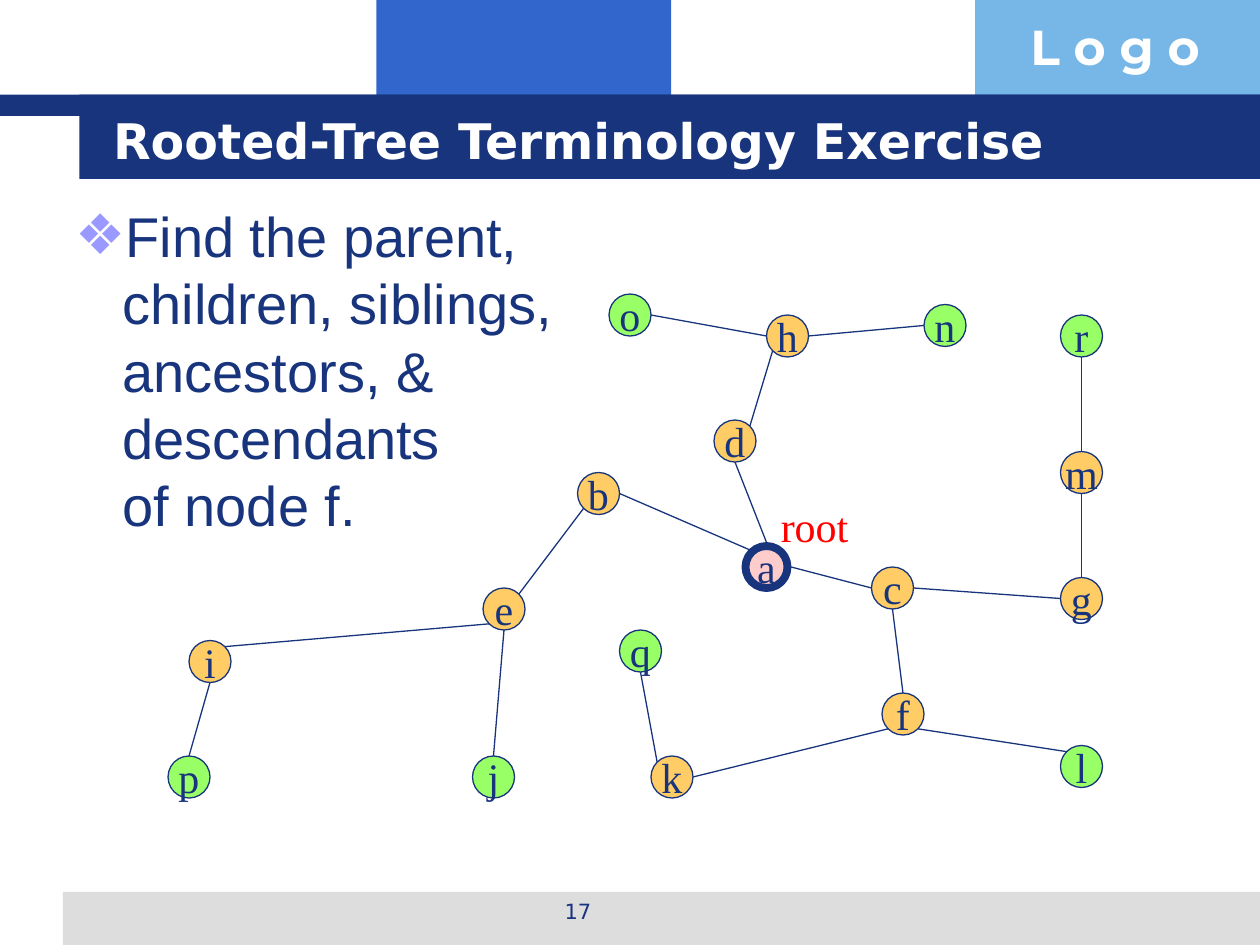
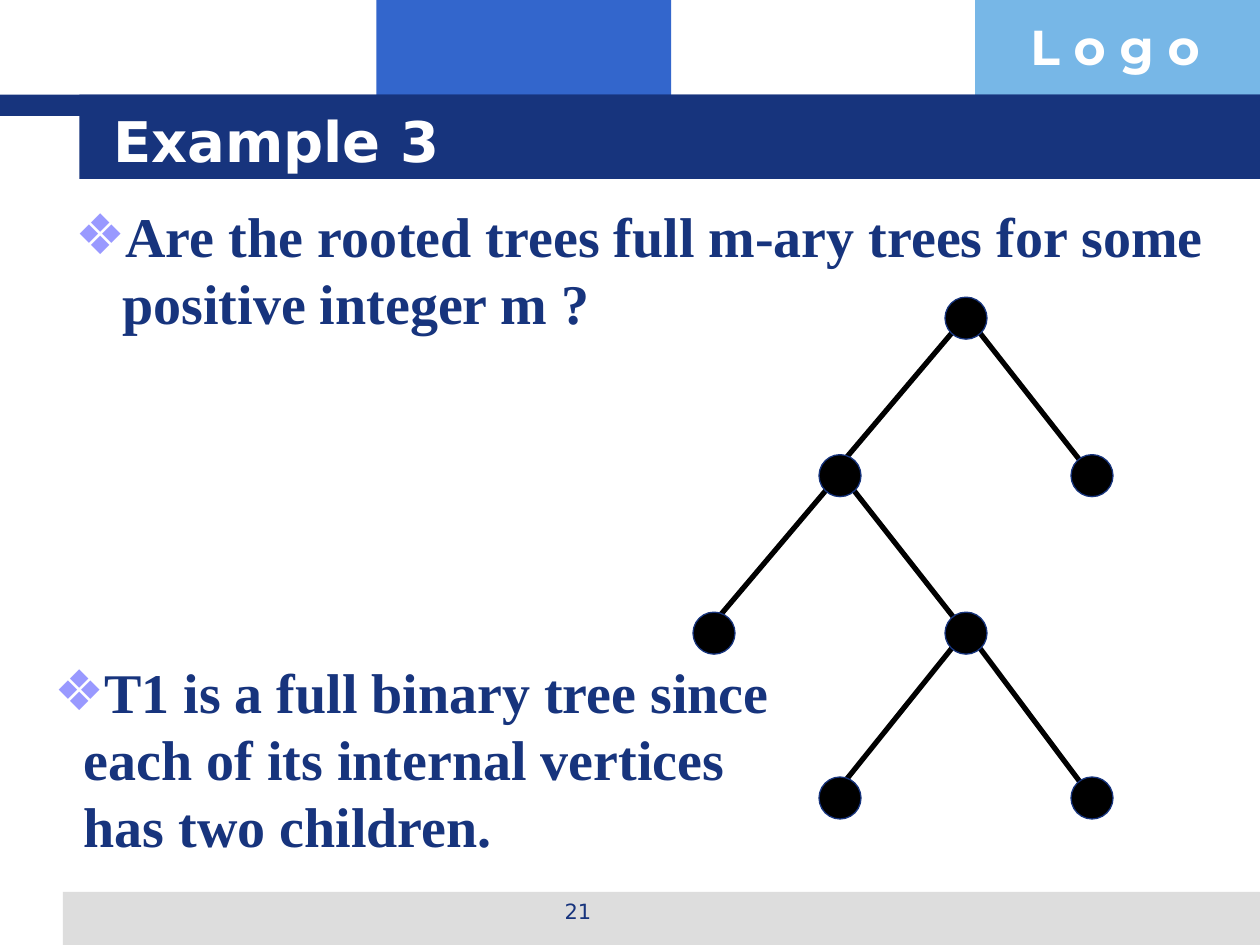
import lxml.etree
import pptx
import pptx.dml.color
import pptx.enum.shapes
import pptx.enum.text
import pptx.oxml.ns
import pptx.util

Cm, Pt = pptx.util.Cm, pptx.util.Pt
RGBColor = pptx.dml.color.RGBColor
Shape = pptx.enum.shapes.MSO_SHAPE
Align, Anchor = pptx.enum.text.PP_ALIGN, pptx.enum.text.MSO_ANCHOR

NAVY = RGBColor(0x17, 0x34, 0x7D)
BLUE = RGBColor(0x33, 0x66, 0xCC)
SKY = RGBColor(0x77, 0xB7, 0xE7)
GREY = RGBColor(0xDD, 0xDD, 0xDD)
LILAC = RGBColor(0x99, 0x99, 0xFF)
ORANGE = RGBColor(0xFF, 0xCC, 0x66)
GREEN = RGBColor(0x99, 0xFF, 0x66)
PINK = RGBColor(0xFF, 0xCC, 0xCC)
RED = RGBColor(0xFF, 0, 0)
WHITE = RGBColor(0xFF, 0xFF, 0xFF)
BLACK = RGBColor(0, 0, 0)
SANS, SERIF, BODY, LOGO = "DejaVu Sans", "Times New Roman", "Arial", "Montserrat"

# Boxes are (left, top, width, height) in centimetres.
BANDS = [
    ((7.59, 0, 5.94, 2.34), BLUE),
    ((19.66, 0, 5.74, 2.34), SKY),
    ((1.27, 17.98, 24.13, 1.07), GREY),
    ((0, 1.91, 25.4, 0.43), NAVY),
    ((1.6, 1.91, 23.8, 1.7), NAVY),
]
LOGO_BOX = (20.52, 0.2, 4.9, 1.45)
NUMBER_BOX = (8.69, 17.98, 5.92, 0.89)
TITLE_BOX = (2.03, 2.03, 21.67, 1.57)

# Both trees lie on a grid of twelfths of an inch.
GRID = 2.54 / 12
RADIUS = 2
ROOT_RADIUS = 2.35  # edges meet the outer rim of the thick outline

# name: (x, y, parent, side of parent, own side)
ROOTED_TREE = {
    "a": (73, 54, None, None, None),
    "b": (57, 47, "a", "top left", "right"),
    "c": (85, 56, "a", "right", "left"),
    "d": (70, 42, "a", "top", "bottom"),
    "e": (48, 58, "b", "bottom left", "top right"),
    "f": (86, 68, "c", "bottom", "top"),
    "g": (103, 57, "c", "right", "left"),
    "h": (75, 32, "d", "top right", "bottom left"),
    "i": (20, 63, "e", "bottom left", "top right"),
    "j": (47, 74, "e", "bottom", "top"),
    "k": (64, 74, "f", "bottom left", "right"),
    "l": (103, 73, "f", "bottom right", "top left"),
    "m": (103, 45, "g", "top", "bottom"),
    "n": (90, 31, "h", "right", "left"),
    "o": (60, 30, "h", "left", "right"),
    "p": (18, 74, "i", "bottom", "top"),
    "q": (61, 62, "k", "top left", "bottom"),
    "r": (103, 32, "m", "top", "bottom"),
}

# Each inner vertex with its left and right child, as (x, y).
BINARY_TREE = [
    ((92, 30.3), (80, 45.3), (104, 45.3)),
    ((80, 45.3), (68, 60.3), (92, 60.3)),
    ((92, 60.3), (80, 76), (104, 76)),
]


def place(box):
    return [Cm(length) for length in box]


def write(holder, text, font=SANS, size=12, color=NAVY, bold=False,
          align=Align.LEFT, anchor=Anchor.TOP, wrap=True, hang=None):
    """Fill a shape with one paragraph; hang is the bullet's indent in cm."""
    frame = holder.text_frame
    frame.word_wrap = wrap
    frame.vertical_anchor = anchor
    para = frame.paragraphs[0]
    if hang is not None:
        add_bullet(para, hang)
    para.alignment = align
    for index, line in enumerate(text.split("\n")):
        if index:
            para.add_line_break()
        span = para.add_run()
        span.text = line
        span.font.name = font
        span.font.size = Pt(size)
        span.font.bold = bold
        span.font.color.rgb = color


def add_bullet(para, hang):
    qn = pptx.oxml.ns.qn
    props = para._p.get_or_add_pPr()
    props.set("marL", str(Cm(hang)))
    props.set("indent", str(-Cm(hang)))
    color = lxml.etree.SubElement(props, qn("a:buClr"))
    lxml.etree.SubElement(color, qn("a:srgbClr"), val=str(LILAC))
    lxml.etree.SubElement(props, qn("a:buFont"), typeface=SANS)
    lxml.etree.SubElement(props, qn("a:buChar"), char="❖")


def add_text(page, box, text, **style):
    write(page.shapes.add_textbox(*place(box)), text, **style)


def add_filled(page, kind, box, fill, line=None, width=0.75):
    shape = page.shapes.add_shape(kind, *place(box))
    shape.shadow.inherit = False
    shape.fill.solid()
    shape.fill.fore_color.rgb = fill
    if line is None:
        shape.line.fill.background()
    else:
        shape.line.color.rgb = line
        shape.line.width = Pt(width)
    return shape


def add_vertex(page, x, y, fill, width=0.75):
    box = [GRID * value for value in (x - RADIUS, y - RADIUS, 2 * RADIUS, 2 * RADIUS)]
    return add_filled(page, Shape.OVAL, box, fill, NAVY, width)


def add_edge(page, start, end, color, width):
    ends = place(GRID * value for value in (*start, *end))
    edge = page.shapes.add_connector(pptx.enum.shapes.MSO_CONNECTOR.STRAIGHT, *ends)
    edge.line.color.rgb = color
    edge.line.width = Pt(width)
    lxml.etree.SubElement(edge._element.spPr, pptx.oxml.ns.qn("a:effectLst"))


def rim_point(name, side):
    """Point on a rooted-tree vertex's rim, such as its top left."""
    x, y, parent = ROOTED_TREE[name][:3]
    across = ("right" in side) - ("left" in side)
    down = ("bottom" in side) - ("top" in side)
    radius = RADIUS if parent else ROOT_RADIUS
    reach = radius / (across ** 2 + down ** 2) ** 0.5
    return x + across * reach, y + down * reach


def draw_rooted_tree(page):
    parents = {parent for _, _, parent, _, _ in ROOTED_TREE.values()}
    for name, (x, y, parent, _, _) in ROOTED_TREE.items():
        if parent is None:
            vertex = add_vertex(page, x, y, PINK, width=4.5)
        else:
            vertex = add_vertex(page, x, y, ORANGE if name in parents else GREEN)
        write(vertex, name, font=SERIF, size=24, align=Align.CENTER,
              anchor=Anchor.MIDDLE, wrap=False)
    for name, (_, _, parent, parent_side, side) in ROOTED_TREE.items():
        if parent:
            add_edge(page, rim_point(parent, parent_side), rim_point(name, side),
                     NAVY, 0.75)
    add_text(page, (15.49, 9.96, 2.2, 1.27), "root", font=SERIF, size=24, color=RED)


def draw_binary_tree(page):
    for (x, y), (left_x, left_y), right in BINARY_TREE:
        add_edge(page, (x - 1, y + 1), (left_x, left_y - 1), BLACK, 3)
        add_edge(page, (x + 1, y + 1), right, BLACK, 3)
    for x, y in dict.fromkeys(spot for family in BINARY_TREE for spot in family):
        add_vertex(page, x, y, BLACK)


def add_page(deck, title, number, title_size):
    page = deck.slides.add_slide(deck.slide_layouts[6])
    for box, fill in BANDS:
        add_filled(page, Shape.RECTANGLE, box, fill)
    add_text(page, LOGO_BOX, "L o g o", font=LOGO, size=28, color=WHITE, bold=True)
    add_text(page, NUMBER_BOX, number, align=Align.CENTER)
    add_text(page, TITLE_BOX, title, size=title_size, color=WHITE, bold=True,
             anchor=Anchor.MIDDLE)
    return page


def main():
    deck = pptx.Presentation()
    deck.slide_width, deck.slide_height = Cm(25.4), Cm(19.05)

    page = add_page(deck, "Rooted-Tree Terminology Exercise", "17", 28)
    add_text(page, (1.27, 3.94, 22.86, 13.56),
             "Find the parent,\nchildren, siblings,\nancestors, &\ndescendants\nof node f.",
             font=BODY, size=32, hang=0.95)
    draw_rooted_tree(page)

    page = add_page(deck, "Example 3", "21", 32)
    statement = dict(font=SERIF, size=32, bold=True)
    add_text(page, (1.27, 3.94, 23.5, 3.25),
             "Are the rooted trees full m-ary trees for some positive integer m ?",
             hang=0.95, **statement)
    add_text(page, (0.84, 13.13, 15.44, 4.32),
             "T1 is a full binary tree since each of its internal vertices "
             "has two children.", hang=0.6, **statement)
    draw_binary_tree(page)

    deck.save("out.pptx")


if __name__ == "__main__":
    main()
